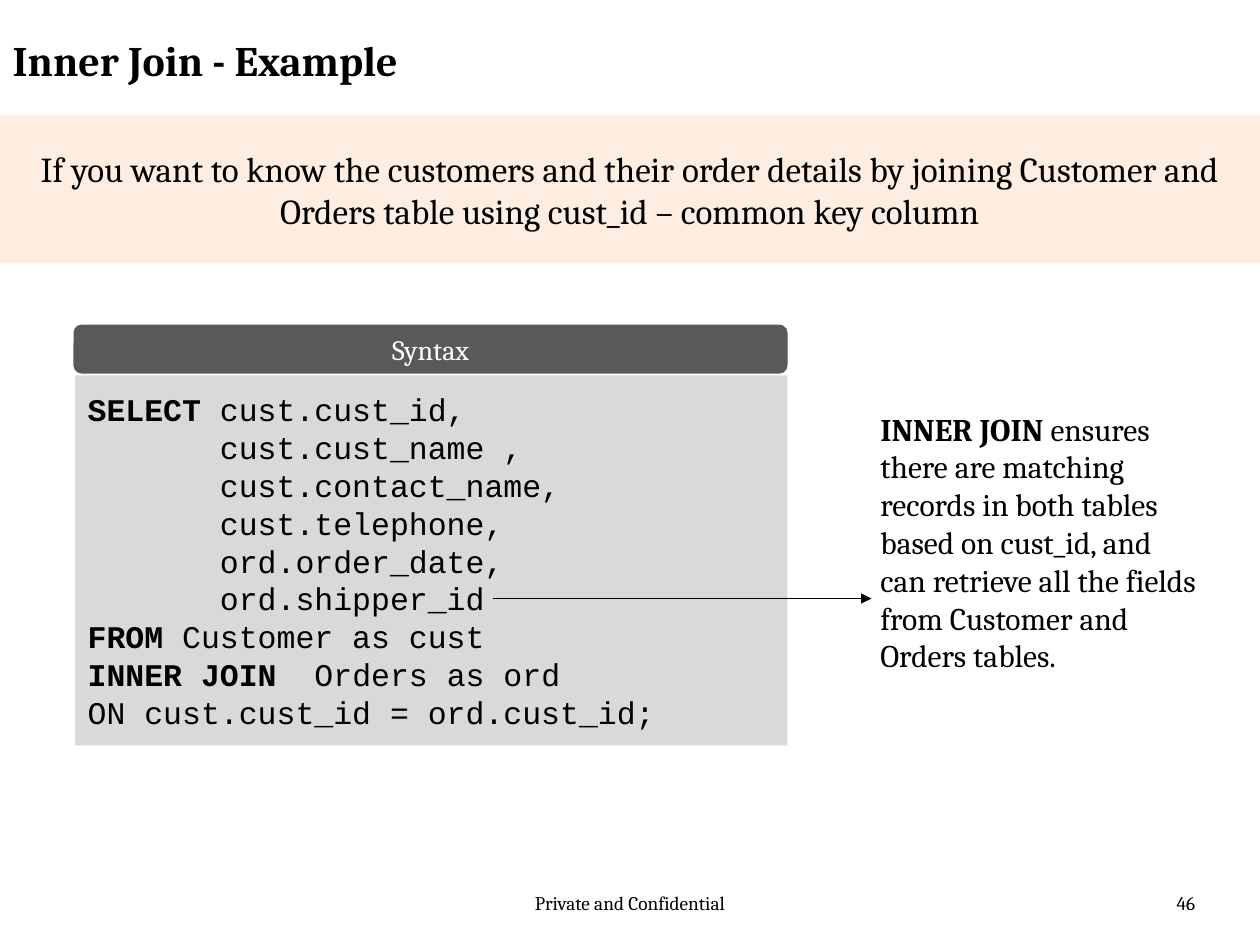
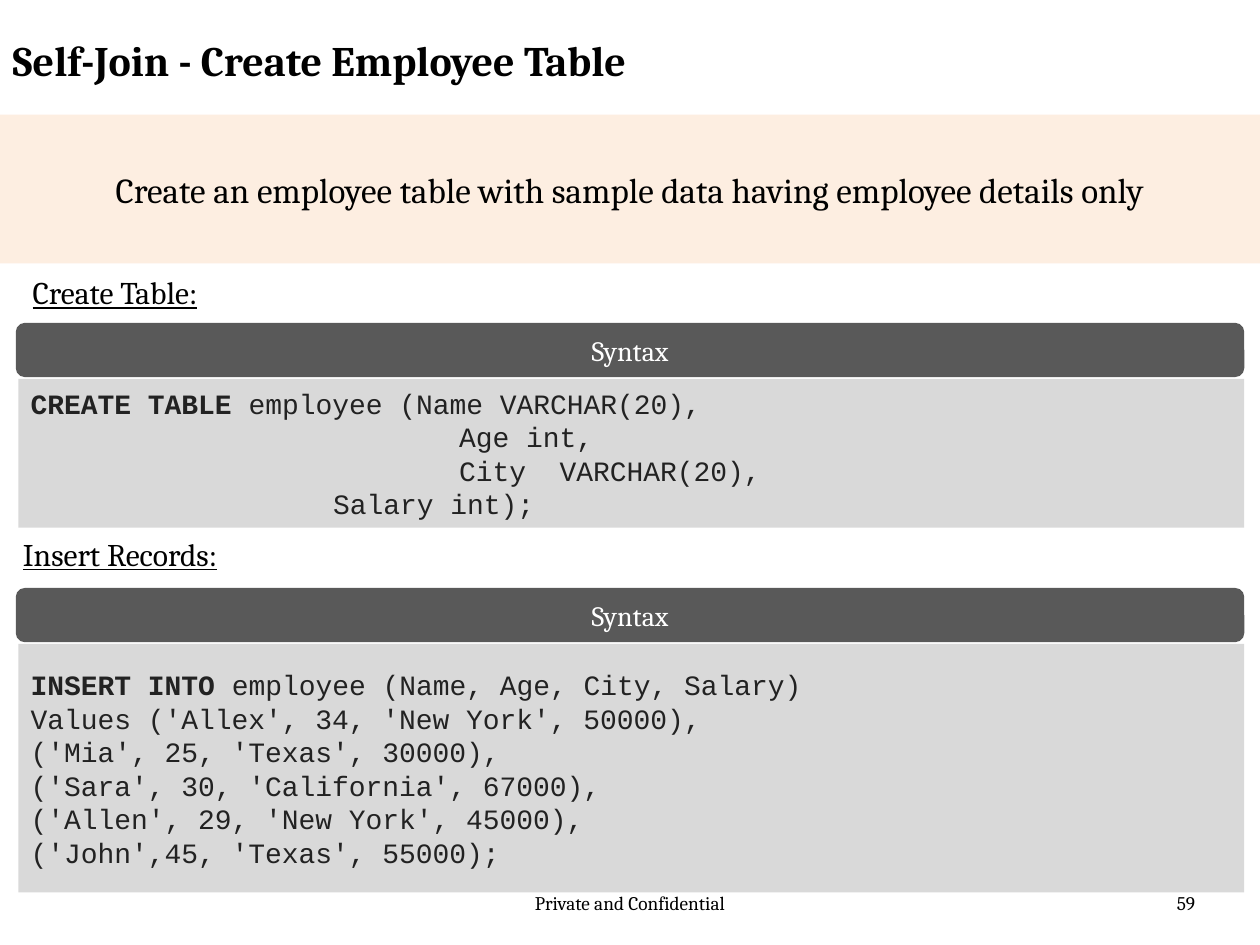
import pptx
import pptx.util
import pptx.dml.color
import pptx.enum.shapes
import pptx.enum.text
import pptx.oxml
import pptx.oxml.ns

Pt = pptx.util.Pt
RGBColor = pptx.dml.color.RGBColor
SHAPE = pptx.enum.shapes.MSO_SHAPE
ALIGN = pptx.enum.text.PP_ALIGN
ANCHOR = pptx.enum.text.MSO_ANCHOR
qn = pptx.oxml.ns.qn

# Shared look
BLACK = RGBColor(0x00, 0x00, 0x00)
WHITE = RGBColor(0xFF, 0xFF, 0xFF)
PEACH = RGBColor(0xFD, 0xEA, 0xDA)
DARK_GREY = RGBColor(0x59, 0x59, 0x59)
LIGHT_GREY = RGBColor(0xD9, 0xD9, 0xD9)
CODE_GREY = RGBColor(0x22, 0x22, 0x22)
SERIF = "Cambria"
MONO = "Courier New"
MONO_ADVANCE = 0.6  # character width as a share of the font size
SLIDE_W, SLIDE_H = 720, 540


def add_run(p, text, size, color=BLACK, font=SERIF, bold=False, underline=False):
    r = p.add_run()
    r.text = text
    r.font.name = font
    r.font.size = Pt(size)
    r.font.color.rgb = color
    r.font.bold = bold
    if underline:
        r.font.underline = True


def place(sp, box):
    sp.left, sp.top, sp.width, sp.height = (Pt(v) for v in box)


def add_xml(parent, tag, **attrs):
    el = parent.makeelement(qn(tag), attrs)
    parent.append(el)
    return el


def add_text(slide, box, runs, size, align=ALIGN.LEFT):
    """Text box holding one paragraph; runs are (text, run options)."""
    sp = slide.shapes.add_textbox(*(Pt(v) for v in box))
    tf = sp.text_frame
    tf.word_wrap = True
    p = tf.paragraphs[0]
    p.alignment = align
    for text, options in runs:
        add_run(p, text, size, **options)


def add_block(shapes, kind, box, fill):
    """Filled shape without outline or shadow, text centred vertically."""
    sp = shapes.add_shape(kind, *(Pt(v) for v in box))
    sp.shadow.inherit = False
    sp.fill.solid()
    sp.fill.fore_color.rgb = fill
    sp.line.fill.background()
    sp.text_frame.word_wrap = True
    sp.text_frame.vertical_anchor = ANCHOR.MIDDLE
    return sp


def add_title(slide, text):
    sp = slide.shapes.title
    place(sp, (0, 16, 546.5, 44.5))
    tf = sp.text_frame
    tf.auto_size = pptx.enum.text.MSO_AUTO_SIZE.NONE
    tf.vertical_anchor = ANCHOR.TOP
    p = tf.paragraphs[0]
    p.alignment = ALIGN.LEFT
    add_run(p, text, 24, bold=True)


def add_banner(slide, text):
    sp = add_block(slide.shapes, SHAPE.RECTANGLE, (0, 65.5, SLIDE_W, 85), PEACH)
    color = sp.fill._xPr.find(".//" + qn("a:srgbClr"))
    add_xml(color, "a:alpha", val="79000")
    p = sp.text_frame.paragraphs[0]
    p.alignment = ALIGN.CENTER
    p.space_before = Pt(4)
    add_run(p, text, 20)


def add_footer(slide, number):
    add_text(slide, (246, 505.5, 228, 29), [("Private and Confidential", {})], 11,
             ALIGN.CENTER)
    add_text(slide, (522, 505.5, 168, 29), [(str(number), {})], 11, ALIGN.RIGHT)


def add_syntax_panel(shapes, header_box, code_box, lines, size, color):
    """Header bar over a code box; lines are (indent, keyword, rest)."""
    header = add_block(shapes, SHAPE.ROUNDED_RECTANGLE, header_box, DARK_GREY)
    p = header.text_frame.paragraphs[0]
    p.alignment = ALIGN.CENTER
    add_run(p, "Syntax", 16, WHITE)

    code = add_block(shapes, SHAPE.ROUNDED_RECTANGLE, code_box, LIGHT_GREY)
    code.adjustments[0] = 0
    tf = code.text_frame
    for i, (indent, keyword, rest) in enumerate(lines):
        p = tf.paragraphs[0] if i == 0 else tf.add_paragraph()
        p.alignment = ALIGN.LEFT
        if indent:
            p._p.get_or_add_pPr().set("marL", str(Pt(indent)))
        if keyword:
            add_run(p, keyword, size, color, MONO, bold=True)
        add_run(p, rest, size, color, MONO)


def add_arrow(slide, x1, x2, y):
    line = slide.shapes.add_connector(
        pptx.enum.shapes.MSO_CONNECTOR.STRAIGHT, Pt(x1), Pt(y), Pt(x2), Pt(y))
    line.line.color.rgb = BLACK
    line.line.width = Pt(0.75)
    add_xml(line.line._get_or_add_ln(), "a:tailEnd", type="triangle")
    add_xml(line._element.spPr, "a:effectLst")


def add_base(prs, title, banner, number):
    slide = prs.slides.add_slide(prs.slide_layouts.get_by_name("Title Only"))
    add_footer(slide, number)
    add_title(slide, title)
    add_banner(slide, banner)
    return slide


def build_inner_join(prs):
    slide = add_base(
        prs, "Inner Join - Example",
        "If you want to know the customers and their order details by joining "
        "Customer and Orders table using cust_id – common key column", 46)
    # Query, with the columns lined up after "SELECT "
    size = 18
    column = len("SELECT ") * size * MONO_ADVANCE
    fields = ["cust.cust_name ,", "cust.contact_name,", "cust.telephone,",
              "ord.order_date,", "ord.shipper_id"]
    lines = [(0, "SELECT ", "cust.cust_id,")]
    lines += [(column, "", field) for field in fields]
    lines += [(0, "FROM", " Customer as cust"),
              (0, "INNER JOIN", "  Orders as ord"),
              (0, "", "ON cust.cust_id = ord.cust_id;")]
    group = slide.shapes.add_group_shape()
    add_syntax_panel(group.shapes, (42, 185.5, 408, 28), (43, 214.5, 407, 211.5),
                     lines, size, BLACK)
    # Explanation
    add_text(slide, (496, 230.5, 198, 160),
             [("INNER JOIN ", {"bold": True}),
              ("ensures there are matching records in both tables based on cust_id, "
               "and can retrieve all the fields from Customer and Orders tables.", {})],
             18)
    add_arrow(slide, 282, 498, 342)


def build_self_join(prs):
    slide = add_base(
        prs, "Self-Join - Create Employee Table",
        "Create an employee table with sample data having employee details only", 59)
    size = 16
    char = size * MONO_ADVANCE
    column = 3 * 72 + 3 * char
    create = [(0, "CREATE TABLE", " employee (Name VARCHAR(20),"),
              (column, "", "Age int,"),
              (column, "", "City  VARCHAR(20),"),
              (18 * char, "", "Salary int);")]
    insert = [(0, "INSERT INTO", " employee (Name, Age, City, Salary)")]
    insert += [(0, "", row) for row in (
        "Values ('Allex', 34, 'New York', 50000),",
        "('Mia', 25, 'Texas', 30000),",
        "('Sara', 30, 'California', 67000),",
        "('Allen', 29, 'New York', 45000),",
        "('John',45, 'Texas', 55000);")]
    # Label, label position, top of header bar, height of code box, code
    sections = [("Create Table:", (11.5, 152.5), 184.5, 85, create),
                ("Insert Records:", (6, 302), 336, 142, insert)]
    for label, (x, y), top, height, lines in sections:
        add_syntax_panel(slide.shapes, (9, top, 702, 31),
                         (10.5, top + 32, 700.5, height), lines, size, CODE_GREY)
        add_text(slide, (x, y, 132, 29), [(label, {"underline": True})], 18)


def main():
    prs = pptx.Presentation()
    prs.slide_width, prs.slide_height = Pt(SLIDE_W), Pt(SLIDE_H)
    build_inner_join(prs)
    build_self_join(prs)
    prs.save("out.pptx")


main()
